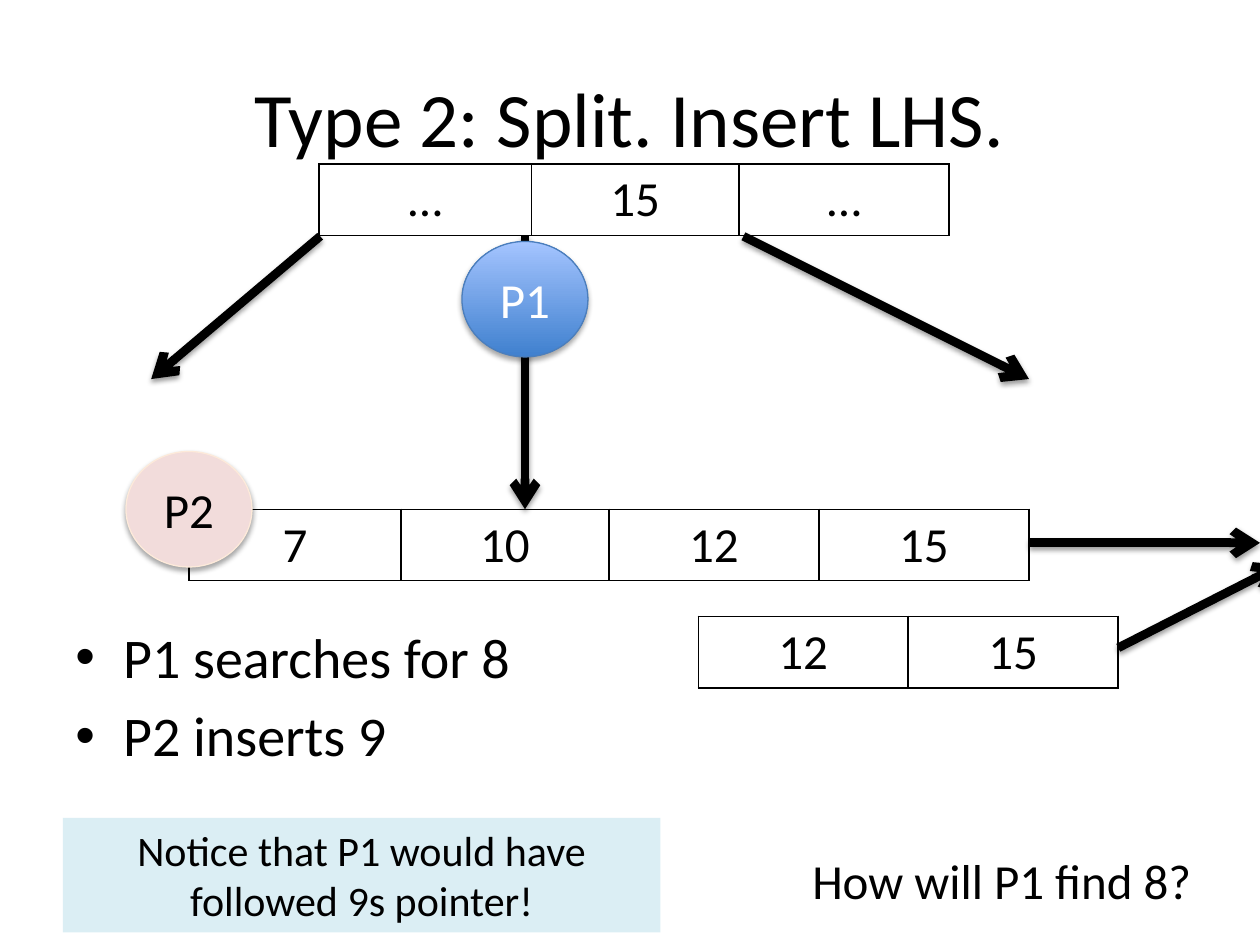
from dataclasses import dataclass

import pptx
import pptx.dml.color
import pptx.enum.shapes
import pptx.enum.text
import pptx.oxml
import pptx.oxml.ns
import pptx.util
from lxml import etree

COLS, ROWS = 60, 45
UNIT = pptx.util.Inches(10) / COLS
FONT = "Calibri"
BLACK, WHITE = "000000", "FFFFFF"
CENTER = pptx.enum.text.PP_ALIGN.CENTER
MIDDLE = pptx.enum.text.MSO_ANCHOR.MIDDLE
SHAPES = pptx.enum.shapes.MSO_SHAPE


@dataclass
class Box:
    """A place on the grid, in columns and rows."""
    x: float
    y: float
    w: float
    h: float


@dataclass
class Node:
    """A tree node drawn as a one-row table."""
    x: float
    y: float
    keys: list[str]
    widths: list[float]


@dataclass
class Arrow:
    """A pointer from one grid point to another."""
    x1: float
    y1: float
    x2: float
    y2: float


@dataclass
class Disc:
    """A round process marker; two fill colours make a gradient."""
    x: float
    y: float
    name: str
    fills: list[str]
    edge: str
    ink: str


def grid(n: float) -> int:
    """Turn grid steps into a length."""
    return pptx.util.Emu(round(n * UNIT))


def place(box: Box) -> tuple[int, int, int, int]:
    """Give left, top, width and height of a box."""
    return grid(box.x), grid(box.y), grid(box.w), grid(box.h)


def paint(color, code: str) -> None:
    """Set a colour from a hex string."""
    color.rgb = pptx.dml.color.RGBColor.from_string(code)


def fill_flat(fill, code: str) -> None:
    """Give one solid colour to a fill."""
    fill.solid()
    paint(fill.fore_color, code)


def write(para, text: str, size: int, ink: str = BLACK, align=CENTER) -> None:
    """Add one run to a paragraph."""
    para.alignment = align
    run = para.add_run()
    run.text = text
    run.font.size = pptx.util.Pt(size)
    run.font.name = FONT
    paint(run.font.color, ink)


def shade(shape, alpha: int, blur: float, dist: float) -> None:
    """Drop a soft black shadow straight down."""
    props = shape._element.spPr
    for old in props.findall(pptx.oxml.ns.qn("a:effectLst")):
        props.remove(old)
    props.append(pptx.oxml.parse_xml(
        f'<a:effectLst {pptx.oxml.ns.nsdecls("a")}>'
        f'<a:outerShdw blurRad="{pptx.util.Pt(blur)}" dist="{pptx.util.Pt(dist)}" '
        f'dir="5400000" rotWithShape="0"><a:srgbClr val="{BLACK}">'
        f'<a:alpha val="{alpha * 1000}"/></a:srgbClr></a:outerShdw></a:effectLst>'))


def frame(cell) -> None:
    """Draw thin black lines on the four sides of a cell."""
    props = cell._tc.get_or_add_tcPr()
    for spot, side in enumerate("LRTB"):
        props.insert(spot, pptx.oxml.parse_xml(
            f'<a:ln{side} {pptx.oxml.ns.nsdecls("a")} w="{pptx.util.Pt(1)}">'
            f'<a:solidFill><a:srgbClr val="{BLACK}"/></a:solidFill></a:ln{side}>'))


def draw_node(slide, node: Node) -> None:
    """Draw a node with its keys."""
    box = Box(node.x, node.y, sum(node.widths), 3.4)
    table = slide.shapes.add_table(1, len(node.keys), *place(box)).table
    table.first_row = table.horz_banding = False
    for col, (key, width) in enumerate(zip(node.keys, node.widths)):
        table.columns[col].width = grid(width)
        cell = table.cell(0, col)
        cell.fill.background()
        frame(cell)
        write(cell.text_frame.paragraphs[0], key, 28)


def draw_arrow(slide, arrow: Arrow) -> None:
    """Draw a thick pointer with an open head."""
    ends = [grid(n) for n in (arrow.x1, arrow.y1, arrow.x2, arrow.y2)]
    line = slide.shapes.add_connector(pptx.enum.shapes.MSO_CONNECTOR.STRAIGHT, *ends)
    line.line.width = pptx.util.Pt(5)
    fill_flat(line.line.fill, BLACK)
    etree.SubElement(line.line._get_or_add_ln(), pptx.oxml.ns.qn("a:tailEnd"), type="arrow")
    shade(line, 38, 3.1, 1.6)


def draw_disc(slide, disc: Disc) -> None:
    """Draw a process marker."""
    shape = slide.shapes.add_shape(SHAPES.OVAL, *place(Box(disc.x, disc.y, 6, 5.5)))
    if len(disc.fills) == 1:
        fill_flat(shape.fill, disc.fills[0])
    else:
        shape.fill.gradient()
        shape.fill.gradient_angle = 90
        for stop, code in zip(shape.fill.gradient_stops, disc.fills):
            paint(stop.color, code)
    fill_flat(shape.line.fill, disc.edge)
    shape.line.width = pptx.util.Pt(0.75)
    shade(shape, 35, 3.1, 1.8)
    shape.text_frame.vertical_anchor = MIDDLE
    write(shape.text_frame.paragraphs[0], disc.name, 28, disc.ink)


def draw_list(slide, box: Box, items: list[str]) -> None:
    """Write a bullet list."""
    text = slide.shapes.add_textbox(*place(box)).text_frame
    text.word_wrap = True
    for spot, item in enumerate(items):
        para = text.add_paragraph() if spot else text.paragraphs[0]
        write(para, item, 32, align=pptx.enum.text.PP_ALIGN.LEFT)
        para.space_before = pptx.util.Pt(6.4)
        props = para._p.get_or_add_pPr()
        dent = pptx.util.Inches(0.38)
        props.set("marL", str(dent))
        props.set("indent", str(-dent))
        etree.SubElement(props, pptx.oxml.ns.qn("a:buFont"), typeface="Arial")
        etree.SubElement(props, pptx.oxml.ns.qn("a:buChar"), char="•")


def draw_note(slide, box: Box, words: str, size: int, back: str = "") -> None:
    """Write a centred note, on a colour if one is given."""
    note = slide.shapes.add_textbox(*place(box))
    if back:
        fill_flat(note.fill, back)
    note.text_frame.word_wrap = True
    write(note.text_frame.paragraphs[0], words, size)


def main() -> None:
    """Build the slide and save it."""
    deck = pptx.Presentation()
    deck.slide_width, deck.slide_height = grid(COLS), grid(ROWS)
    slide = deck.slides.add_slide(deck.slide_layouts[5])
    fill_flat(slide.background.fill, WHITE)
    title = slide.shapes.title
    title.left, title.top, title.width, title.height = place(Box(3, 1.8, 54, 7.5))
    title.text_frame.vertical_anchor = MIDDLE
    write(title.text_frame.paragraphs[0], "Type 2: Split. Insert LHS.", 44)

    draw_list(slide, Box(3, 29.35, 54, 10.85), ["P1 searches for 8", "P2 inserts 9"])
    for node in (Node(9, 24.25, ["7", "10", "12", "15"], [10.1, 9.9, 10, 10]),
                 Node(15.2, 7.8, ["…", "15", "…"], [10.1, 9.9, 10]),
                 Node(33.25, 29.35, ["12", "15"], [10, 10])):
        draw_node(slide, node)
    for arrow in (Arrow(25, 11.25, 25, 24.25), Arrow(35.4, 11.25, 49, 18.05),
                  Arrow(15.25, 11.25, 7.2, 18.05), Arrow(49, 25.85, 60, 25.85),
                  Arrow(53.25, 30.85, 61, 26.9)):
        draw_arrow(slide, arrow)
    for disc in (Disc(22, 11.5, "P1", ["3F80CE", "A4C4FF"], "4B7EBC", WHITE),
                 Disc(6, 21.5, "P2", ["F2DCDB"], "FDEADA", BLACK)):
        draw_disc(slide, disc)
    draw_note(slide, Box(3, 38.95, 28.45, 5.45),
              "Notice that P1 would have followed 9s pointer!", 24, "DBEEF4")
    draw_note(slide, Box(35.4, 40.2, 24.6, 3.4), "How will P1 find 8?", 28)
    deck.save("out.pptx")


main()
